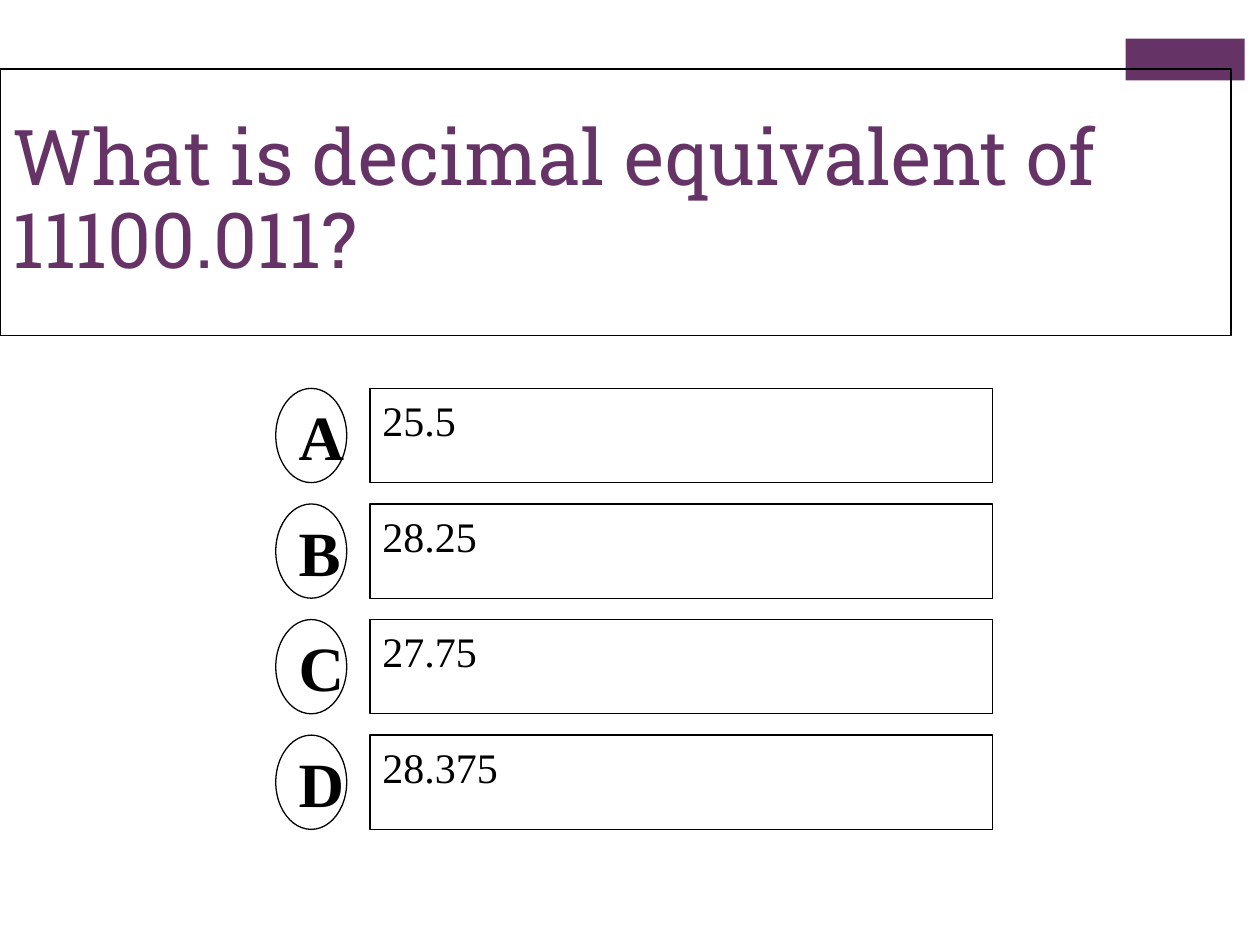
import pptx
import pptx.dml.color
import pptx.enum.shapes
import pptx.enum.text
import pptx.util

Cm = pptx.util.Cm
Pt = pptx.util.Pt
SHAPES = pptx.enum.shapes.MSO_SHAPE
ANCHORS = pptx.enum.text.MSO_ANCHOR

PURPLE = "663366"
BLACK = "000000"
WHITE = "FFFFFF"
TITLE_FONT = "Roboto Slab"
BODY_FONT = "Times New Roman"


def color(hex_value):
    return pptx.dml.color.RGBColor.from_string(hex_value)


def add_box(slide, preset, left, top, width, height, fill=None, line=None):
    """Add a preset shape without shadow; lengths are in centimetres."""
    shape = slide.shapes.add_shape(preset, Cm(left), Cm(top), Cm(width), Cm(height))
    shape.shadow.inherit = False
    if fill:
        shape.fill.solid()
        shape.fill.fore_color.rgb = color(fill)
    else:
        shape.fill.background()
    if line:
        shape.line.color.rgb = color(line)
        shape.line.width = Pt(0.75)
    else:
        shape.line.fill.background()
    return shape


def set_text(shape, text, font, size, hex_value, anchor, bold=False):
    frame = shape.text_frame
    frame.text = text
    frame.word_wrap = True
    frame.vertical_anchor = anchor
    paragraph = frame.paragraphs[0]
    paragraph.alignment = pptx.enum.text.PP_ALIGN.LEFT
    run_font = paragraph.runs[0].font
    run_font.name = font
    run_font.size = Pt(size)
    run_font.bold = bold
    run_font.color.rgb = color(hex_value)
    return paragraph


def add_question(slide, text, left, top, width, height):
    add_box(slide, SHAPES.RECTANGLE, left + width - 2.13, top - 0.61, 2.4, 0.84, fill=PURPLE)
    box = add_box(slide, SHAPES.RECTANGLE, left, top, width, height, line=BLACK)
    paragraph = set_text(box, text, TITLE_FONT, 44, PURPLE, ANCHORS.MIDDLE)
    paragraph.line_spacing = 0.9


def add_answer(slide, letter, answer, left, top, width, height):
    badge_width, gap = 1.43, 0.47
    badge = add_box(slide, SHAPES.OVAL, left, top, badge_width, height, line=BLACK)
    set_text(badge, letter, BODY_FONT, 36, BLACK, ANCHORS.MIDDLE, bold=True)
    offset = badge_width + gap
    box = add_box(slide, SHAPES.RECTANGLE, left + offset, top, width - offset, height,
                  fill=WHITE, line=BLACK)
    set_text(box, answer, BODY_FONT, 24, BLACK, ANCHORS.TOP)


def add_answers(slide, answers, left, top, width, height):
    row_height = 1.9
    pitch = (height - row_height) / (len(answers) - 1)
    for index, (letter, answer) in enumerate(zip("ABCD", answers)):
        add_answer(slide, letter, answer, left, top + index * pitch, width, row_height)


def main():
    presentation = pptx.Presentation()
    presentation.slide_width = Cm(25.4)
    presentation.slide_height = Cm(19.05)
    slide = presentation.slides.add_slide(presentation.slide_layouts[6])
    add_question(slide, "What is decimal equivalent of 11100.011?", 0, 1.39, 24.82, 5.38)
    add_answers(slide, ["25.5", "28.25", "27.75", "28.375"], 5.56, 7.83, 14.45, 8.89)
    presentation.save("out.pptx")


if __name__ == "__main__":
    main()
